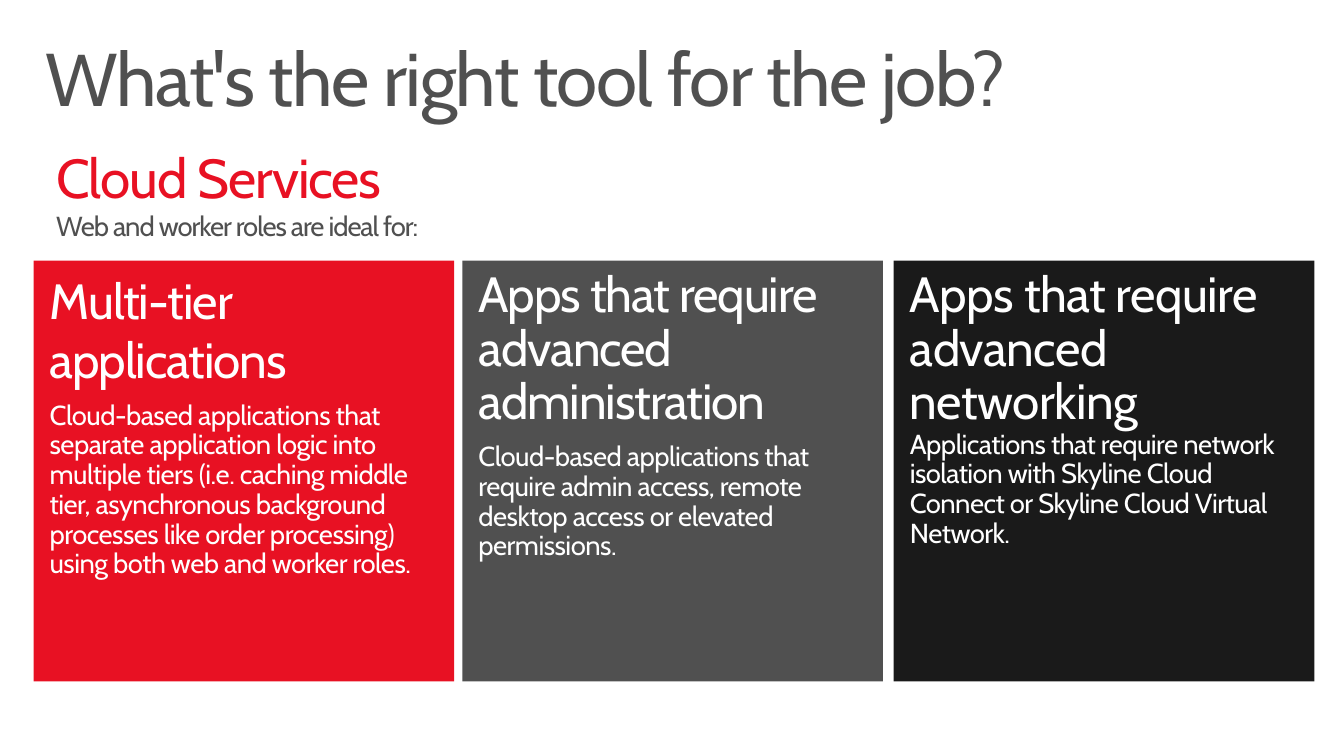
"""Build a slide that matches cloud services to three kinds of application."""
from pptx import Presentation
from pptx.dml.color import RGBColor
from pptx.enum import shapes, text
from pptx.util import Inches, Pt

RED = RGBColor(0xE8, 0x11, 0x23)
GRAY = RGBColor(0x50, 0x50, 0x50)
BLACK = RGBColor(0x1A, 0x1A, 0x1A)
WHITE = RGBColor(0xFF, 0xFF, 0xFF)
FONT = "Cabin"
TITLE_SIZE, SUBTITLE_SIZE, HEADING_SIZE, BODY_SIZE = 40, 29.4, 26.5, 14.7

TITLE = "What's the right tool for the job?"
SUBTITLE = "Cloud Services"
INTRO = "Web and worker roles are ideal for:"
CARDS = [
    dict(left=0.25, fill=RED, heading="Multi-tier applications", heading_line=1.0,
         body="Cloud-based applications that separate application logic into multiple "
              "tiers (i.e. caching middle tier, asynchronous background processes like "
              "order processing) using both web and worker roles."),
    dict(left=3.44, fill=GRAY, heading="Apps that require advanced administration",
         body="Cloud-based applications that require admin access, remote desktop "
              "access or elevated permissions."),
    dict(left=6.65, fill=BLACK, heading="Apps that require advanced networking",
         body="Applications that require network isolation with Skyline Cloud "
              "Connect or Skyline Cloud Virtual Network.", joined=True),
]
CARD_TOP, CARD_SIZE = 1.94, 3.13


def add_run(paragraph, content, size, color, tracking):
    run = paragraph.add_run()
    run.text = content
    run.font.size = Pt(size)
    run.font.color.rgb = color
    run._r.get_or_add_rPr().set("spc", str(round(tracking * 100)))


def format_frame(frame, horizontal=0.12, vertical=0.07):
    frame.word_wrap = True
    frame.auto_size = text.MSO_AUTO_SIZE.NONE
    frame.vertical_anchor = text.MSO_ANCHOR.TOP
    frame.margin_left = frame.margin_right = Inches(horizontal)
    frame.margin_top = frame.margin_bottom = Inches(vertical)


def format_paragraph(paragraph, line_spacing=0.9, space_after=0):
    paragraph.alignment = text.PP_ALIGN.LEFT
    paragraph.line_spacing = line_spacing
    paragraph.space_before = Pt(0)
    paragraph.space_after = Pt(space_after)
    paragraph.font.name = FONT


def add_card(slide, left, fill, heading, body, heading_line=0.9, joined=False):
    card = slide.shapes.add_shape(
        shapes.MSO_SHAPE.RECTANGLE, Inches(left), Inches(CARD_TOP),
        Inches(CARD_SIZE), Inches(CARD_SIZE))
    card.shadow.inherit = False
    card.fill.solid()
    card.fill.fore_color.rgb = fill
    card.line.fill.background()
    frame = card.text_frame
    format_frame(frame)
    paragraph = frame.paragraphs[0]
    format_paragraph(paragraph, heading_line, 6.8)
    add_run(paragraph, heading, HEADING_SIZE, WHITE, -0.3 if joined else -0.6)
    if joined:
        paragraph.add_line_break()
    else:
        paragraph = frame.add_paragraph()
        format_paragraph(paragraph, space_after=6.8)
    add_run(paragraph, body, BODY_SIZE, WHITE, -0.3)


def main():
    presentation = Presentation()
    presentation.slide_width = Inches(10)
    presentation.slide_height = Inches(10 * 9 / 16)
    slide = presentation.slides.add_slide(presentation.slide_layouts[5])

    for card in CARDS:
        add_card(slide, **card)

    title = slide.shapes.title
    title.left, title.top = Inches(0.22), Inches(0.24)
    title.width, title.height = Inches(9.56), Inches(0.74)
    format_frame(title.text_frame)
    paragraph = title.text_frame.paragraphs[0]
    format_paragraph(paragraph)
    add_run(paragraph, TITLE, TITLE_SIZE, GRAY, -0.8)

    subtitle = slide.shapes.add_textbox(Inches(0.32), Inches(1.02), Inches(3.08), Inches(1.34))
    format_frame(subtitle.text_frame, 0.1, 0.05)
    paragraph = subtitle.text_frame.paragraphs[0]
    format_paragraph(paragraph, line_spacing=1.0)
    add_run(paragraph, SUBTITLE, SUBTITLE_SIZE, RED, -0.6)
    paragraph.add_line_break()
    add_run(paragraph, INTRO, BODY_SIZE, GRAY, -0.6)

    presentation.save("out.pptx")


if __name__ == "__main__":
    main()
